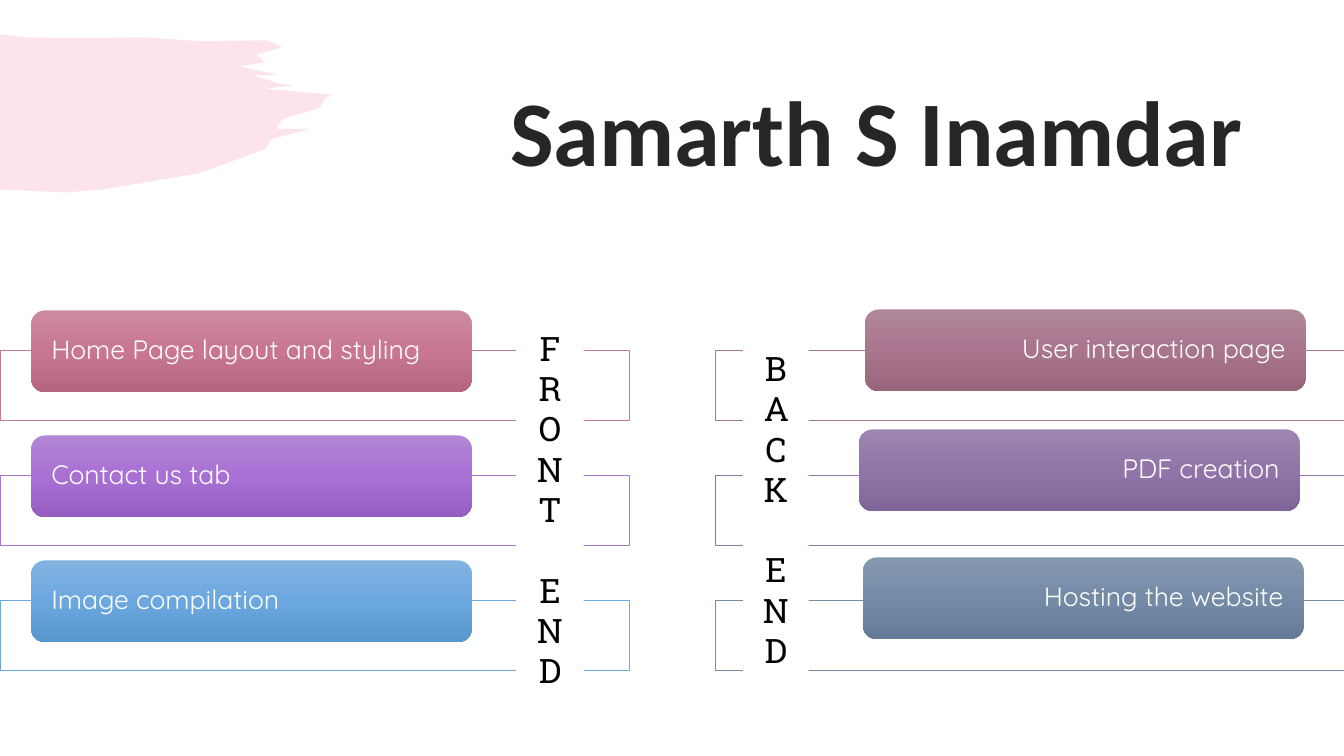
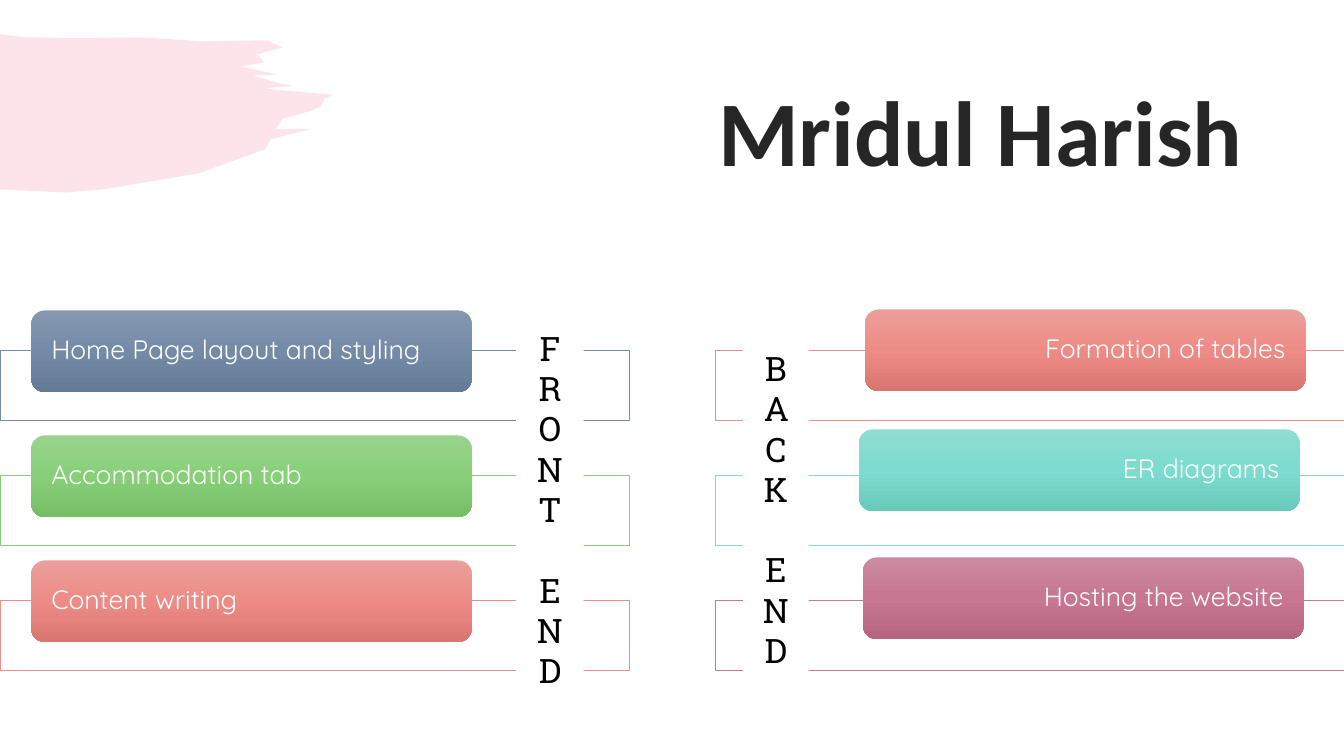
from copy import deepcopy
from lxml.etree import SubElement
from pptx import Presentation
from pptx.dml.color import RGBColor as RGB
from pptx.enum.shapes import MSO_SHAPE as Shape
from pptx.enum.text import MSO_ANCHOR as Anchor, MSO_AUTO_SIZE as Fit, PP_ALIGN as Align
from pptx.oxml.ns import qn
from pptx.util import Inches, Pt

HEX = dict(white="FFFFFF", ink="262626", black="000000", brush="F07C98")

# Each theme: frame line, then the bar gradient from top to bottom
THEMES = dict(
    rose=("C47A93", "CB8A9F", "C87692", "B66580"),
    violet=("A975D0", "B286D6", "A970D4", "975EC2"),
    blue=("70A8DB", "82B2E0", "6BA8E0", "5896CE"),
    mauve=("A6778D", "B0879A", "A8758D", "98657D"),
    purple=("9077A6", "9D87B0", "9174A8", "816598"),
    slate=("768BA6", "8698B0", "748BA8", "647B98"),
    green=("8BCC7C", "98D28B", "88D078", "76BE65"),
    coral=("E8908B", "EC9E9A", "ED8C86", "D87771"),
    teal=("81D8CB", "90DDD2", "7CDCCF", "69C9BB"),
)

SLIDES = [
    ("Samarth S Inamdar",
     [("Home Page layout and styling", "rose"), ("Contact us tab", "violet"),
      ("Image compilation", "blue")],
     [("User interaction page", "mauve"), ("PDF creation", "purple"),
      ("Hosting the website", "slate")]),
    ("Mridul Harish",
     [("Home Page layout and styling", "slate"), ("Accommodation tab", "green"),
      ("Content writing", "coral")],
     [("Formation of tables", "coral"), ("ER diagrams", "teal"),
      ("Hosting the website", "rose")]),
]

# Each side: frame left, bar spots, text alignment, label, label left and width
TOP, PITCH = 3.48, 1.24
FRAME_W, FRAME_H = 6.24, 0.69
BAR_W, BAR_H = 4.37, 0.81
SIDES = [
    (0, [(0.31, 3.08 + PITCH * row) for row in range(3)], Align.LEFT,
     "FRONT END", 5.12, 0.67),
    (7.1, [(8.58, 3.07), (8.52, 4.26), (8.56, 5.53)], Align.RIGHT,
     "BACK END", 7.37, 0.65),
]

# Corners of the brush stroke, clockwise from the top left
STROKE = [
    (0, 0.34), (0.25, 0.37), (0.75, 0.38), (1.4, 0.37), (2, 0.41), (2.65, 0.4),
    (2.8, 0.47), (2.55, 0.54), (2.62, 0.62), (2.38, 0.66), (2.75, 0.74),
    (2.51, 0.75), (2.78, 0.83), (2.9, 0.85), (2.63, 0.88), (3.3, 0.94),
    (3.22, 0.98), (3.18, 1.06), (3.08, 1.1), (2.8, 1.18), (2.74, 1.28),
    (3.08, 1.28), (2.69, 1.38), (2.63, 1.48), (1.97, 1.72), (1.02, 1.88),
    (0.65, 1.91), (0, 1.88),
]


def rgb(name):
    return RGB.from_string(HEX.get(name, name))


def write(shape, text, font, size, color, align, anchor=Anchor.MIDDLE,
          inset=(0.1, 0.05), bold=False, space=1.0):
    frame = shape.text_frame
    frame.word_wrap, frame.vertical_anchor = True, anchor
    frame.margin_left = frame.margin_right = Inches(inset[0])
    frame.margin_top = frame.margin_bottom = Inches(inset[1])
    para = frame.paragraphs[0]
    para.alignment, para.line_spacing = align, space
    run = para.add_run()
    run.text = text
    run.font.name, run.font.size, run.font.bold = font, Pt(size), bold
    run.font.color.rgb = rgb(color)


def add_box(slide, kind, box, fill=None, line=None):
    shape = slide.shapes.add_shape(kind, *map(Inches, box))
    shape.shadow.inherit = False
    if fill:
        shape.fill.solid()
        shape.fill.fore_color.rgb = rgb(fill)
    if line:
        shape.line.color.rgb = rgb(line)
        shape.line.width = Pt(0.5)
    else:
        shape.line.fill.background()
    return shape


def shade(shape, colors):
    """Fill from top to bottom with three evenly spaced colours."""
    shape.fill.gradient()
    shape.fill.gradient_angle = 270
    stops = shape.element.spPr.find(".//" + qn("a:gsLst"))
    stops.append(deepcopy(stops[0]))
    for i, (stop, color) in enumerate(zip(shape.fill.gradient_stops, colors)):
        stop.position, stop.color.rgb = i / 2, rgb(color)


def add_brush(slide):
    """Draw the stroke once and move it to the back of the shared layout."""
    start, *rest = [tuple(map(Inches, spot)) for spot in STROKE]
    pen = slide.shapes.build_freeform(*start)
    pen.add_line_segments(rest, close=True)
    brush = pen.convert_to_shape()
    brush.shadow.inherit = False
    brush.line.fill.background()
    brush.fill.solid()
    brush.fill.fore_color.rgb = rgb("brush")
    tint = brush.element.spPr.find(qn("a:solidFill"))[0]
    SubElement(tint, qn("a:alpha"), val="20000")
    slide.slide_layout.shapes.element.insert(2, brush.element)


def add_title(slide, text):
    title = slide.shapes.title
    title.left, title.top, title.width, title.height = map(
        Inches, (1.14, 0.68, 11.29, 1.21))
    write(title, text, "Calibri", 66, "ink", Align.RIGHT, bold=True)
    title.text_frame.auto_size = Fit.NONE


def add_side(slide, items, left, spots, align, label, label_x, label_w):
    for row, ((text, theme), spot) in enumerate(zip(items, spots)):
        line, *colors = THEMES[theme]
        add_box(slide, Shape.RECTANGLE,
                (left, TOP + PITCH * row, FRAME_W, FRAME_H), "white", line)
        bar = add_box(slide, Shape.ROUNDED_RECTANGLE, (*spot, BAR_W, BAR_H))
        shade(bar, colors)
        write(bar, text, "Quicksand", 19, "white", align,
              inset=(0.16, 0), space=0.9)
    tag = add_box(slide, Shape.RECTANGLE, (label_x, 2.76, label_w, 4.58), "white")
    write(tag, label, "Roboto Slab", 24, "black", Align.CENTER, Anchor.TOP)
    tag.text_frame.auto_size = Fit.SHAPE_TO_FIT_TEXT
    tag.element.txBody.find(qn("a:bodyPr")).set("vert", "wordArtVert")


def main():
    deck = Presentation()
    deck.slide_width, deck.slide_height = Inches(13.33), Inches(7.5)
    layout = deck.slide_layouts[5]
    for i, (name, *lists) in enumerate(SLIDES):
        slide = deck.slides.add_slide(layout)
        if i == 0:
            add_brush(slide)
        add_title(slide, name)
        for items, side in zip(lists, SIDES):
            add_side(slide, items, *side)
    deck.save("out.pptx")


if __name__ == "__main__":
    main()
